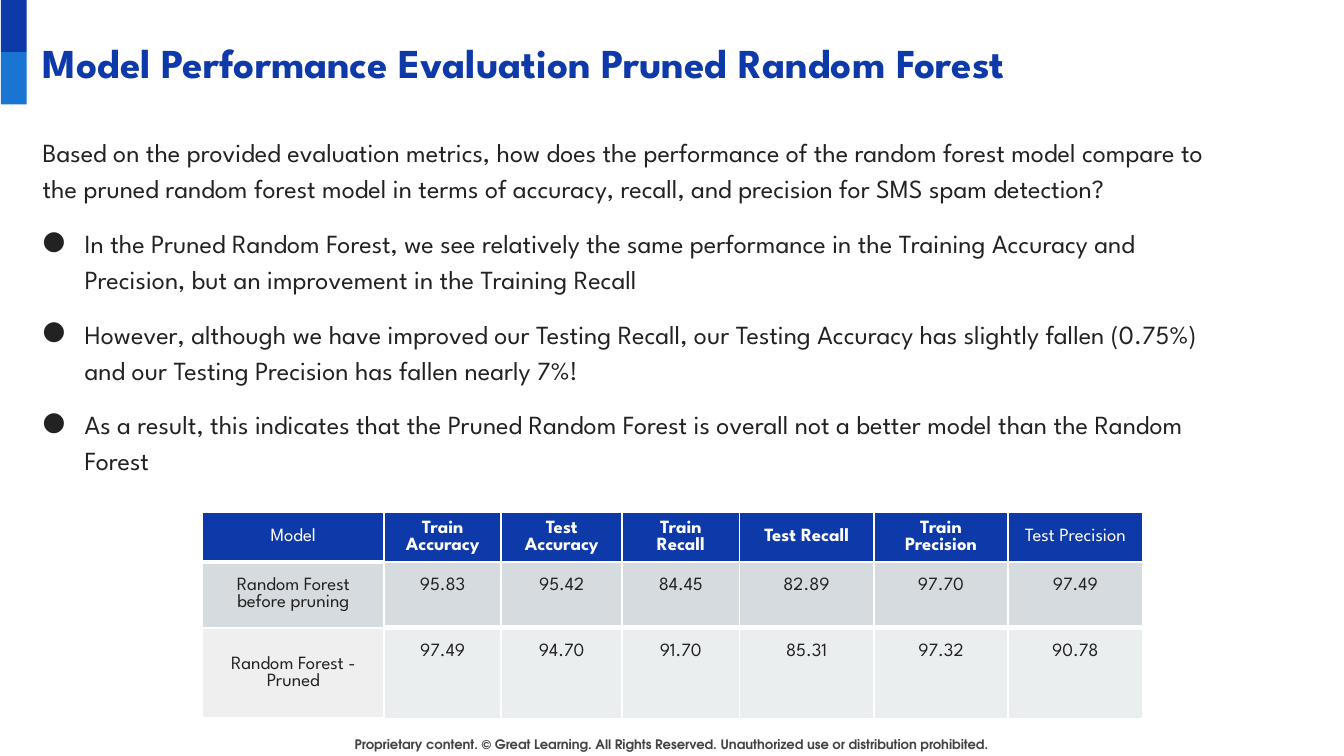
from dataclasses import dataclass

from lxml import etree
from pptx import Presentation
from pptx.dml.color import RGBColor
from pptx.enum.shapes import MSO_SHAPE
from pptx.enum.text import MSO_ANCHOR, MSO_AUTO_SIZE, PP_ALIGN
from pptx.oxml.ns import qn
from pptx.util import Pt

RECTANGLE = MSO_SHAPE.RECTANGLE
TOP, MIDDLE = MSO_ANCHOR.TOP, MSO_ANCHOR.MIDDLE
LEFT, CENTER = PP_ALIGN.LEFT, PP_ALIGN.CENTER
NO_FIT = MSO_AUTO_SIZE.NONE


@dataclass(frozen=True)
class Theme:
    font: str = "League Spartan"
    footer_font: str = "TeX Gyre Adventor"
    navy: str = "0E39A9"
    blue: str = "1974D2"
    ink: str = "222222"
    gray: str = "434343"
    white: str = "FFFFFF"
    first_row: str = "D5DBDE"
    second_row: str = "EBEEEF"
    second_label: str = "EFEFEF"
    title_size: float = 22
    body_size: float = 14
    table_size: float = 10
    footer_size: float = 7


theme = Theme()


def add_span(para, text, size, color, bold=False, font=theme.font):
    span = para.add_run()
    span.text = text
    span.font.name = font
    span.font.size = Pt(size)
    span.font.bold = bold
    span.font.color.rgb = RGBColor.from_string(color)


def set_frame(frame, anchor):
    frame.word_wrap = True
    frame.auto_size = NO_FIT
    frame.vertical_anchor = anchor
    frame.margin_left = frame.margin_right = Pt(7.2)
    frame.margin_top = frame.margin_bottom = Pt(7.2)


deck = Presentation()
deck.slide_width, deck.slide_height = Pt(720), Pt(405)
page = deck.slides.add_slide(deck.slide_layouts[5])

# Footer
footer = page.shapes.add_textbox(Pt(175.7), Pt(387.4), Pt(368), Pt(21.6))
set_frame(footer.text_frame, TOP)
para = footer.text_frame.paragraphs[0]
para.alignment = CENTER
para.line_spacing = 1.02
add_span(para, "Proprietary content. © Great Learning. All Rights Reserved. "
         "Unauthorized use or distribution prohibited.",
         theme.footer_size, theme.gray, True, theme.footer_font)

# Corner blocks
for index, color in enumerate((theme.navy, theme.blue)):
    block = page.shapes.add_shape(RECTANGLE, Pt(0.5), Pt(28 * index), Pt(13.8), Pt(28))
    block.shadow.inherit = False
    block.fill.solid()
    block.fill.fore_color.rgb = RGBColor.from_string(color)
    block.line.fill.background()

# Title
title = page.shapes.title
title.left, title.top, title.width, title.height = Pt(15.8), Pt(10.8), Pt(671), Pt(45.4)
set_frame(title.text_frame, MIDDLE)
para = title.text_frame.paragraphs[0]
para.alignment = LEFT
add_span(para, "Model Performance Evaluation Pruned Random Forest",
         theme.title_size, theme.navy, True)

# Question and bulleted answers
statements = (
    "Based on the provided evaluation metrics, how does the performance of the random "
    "forest model compare to the pruned random forest model in terms of accuracy, recall, "
    "and precision for SMS spam detection?",
    "In the Pruned Random Forest, we see relatively the same performance in the Training "
    "Accuracy and Precision, but an improvement in the Training Recall",
    "However, although we have improved our Testing Recall, our Testing Accuracy has "
    "slightly fallen (0.75%) and our Testing Precision has fallen nearly 7%!",
    "As a result, this indicates that the Pruned Random Forest is overall not a better "
    "model than the Random Forest",
)
body = page.shapes.add_textbox(Pt(15.8), Pt(63.4), Pt(654.5), Pt(211))
set_frame(body.text_frame, TOP)
for index, statement in enumerate(statements):
    para = body.text_frame.paragraphs[0] if index == 0 else body.text_frame.add_paragraph()
    if index:
        props = para._p.get_or_add_pPr()
        props.set("marL", str(Pt(22.5)))
        props.set("indent", str(-Pt(22.5)))
        bullet_color = etree.SubElement(props, qn("a:buClr"))
        etree.SubElement(bullet_color, qn("a:srgbClr"), val=theme.ink)
        etree.SubElement(props, qn("a:buFont"), typeface=theme.font)
        etree.SubElement(props, qn("a:buChar"), char="●")
        para.space_before = Pt(10)
    para.line_spacing = 1.15
    add_span(para, statement, theme.body_size, theme.ink)

# Metrics table
rows = (
    ("Model", "Train Accuracy", "Test Accuracy", "Train Recall", "Test Recall",
     "Train Precision", "Test Precision"),
    ("Random Forest before pruning", "95.83", "95.42", "84.45", "82.89", "97.70", "97.49"),
    ("Random Forest - Pruned", "97.49", "94.70", "91.70", "85.31", "97.32", "90.78"),
)
column_widths = (97.2, 62.8, 64.8, 62.8, 72, 72, 72)
row_heights = (26.5, 35.3, 49)
row_fills = (theme.navy, theme.first_row, theme.second_row)
light_headers = ("Model", "Test Precision")

frame = page.shapes.add_table(len(rows), len(column_widths), Pt(108.5), Pt(274.6),
                              Pt(sum(column_widths)), Pt(sum(row_heights)))
table = frame.table
table.first_row = table.horz_banding = False
for column, width in zip(table.columns, column_widths):
    column.width = Pt(width)
for row, height in zip(table.rows, row_heights):
    row.height = Pt(height)

for r, row in enumerate(rows):
    for c, text in enumerate(row):
        cell = table.cell(r, c)
        is_header, is_label = r == 0, c == 0
        is_value = not (is_header or is_label)

        # Thin white borders, with a thick rule around the value rows
        thick_top = r == 2 and is_value
        thick_bottom = (r == 1) == is_value and not thick_top and (is_value or is_label)
        if r == 1 and is_label:
            thick_bottom = False
        props = cell._tc.get_or_add_tcPr()
        for side, thick in (("L", False), ("R", False), ("T", thick_top), ("B", thick_bottom)):
            border = etree.SubElement(props, qn(f"a:ln{side}"), w=str(Pt(3 if thick else 1)))
            paint = etree.SubElement(border, qn("a:solidFill"))
            etree.SubElement(paint, qn("a:srgbClr"), val=theme.white)

        fill = theme.second_label if r == 2 and is_label else row_fills[r]
        cell.fill.solid()
        cell.fill.fore_color.rgb = RGBColor.from_string(fill)
        cell.margin_left = cell.margin_right = Pt(7.2)
        cell.margin_top = cell.margin_bottom = Pt(7.2 if is_value else 3.6)
        cell.vertical_anchor = TOP if is_value else MIDDLE

        para = cell.text_frame.paragraphs[0]
        para.alignment = CENTER
        if is_value:
            para.line_spacing = 1.15
        add_span(para, text, theme.table_size, theme.white if is_header else theme.ink,
                 is_header and text not in light_headers)

deck.save("out.pptx")
